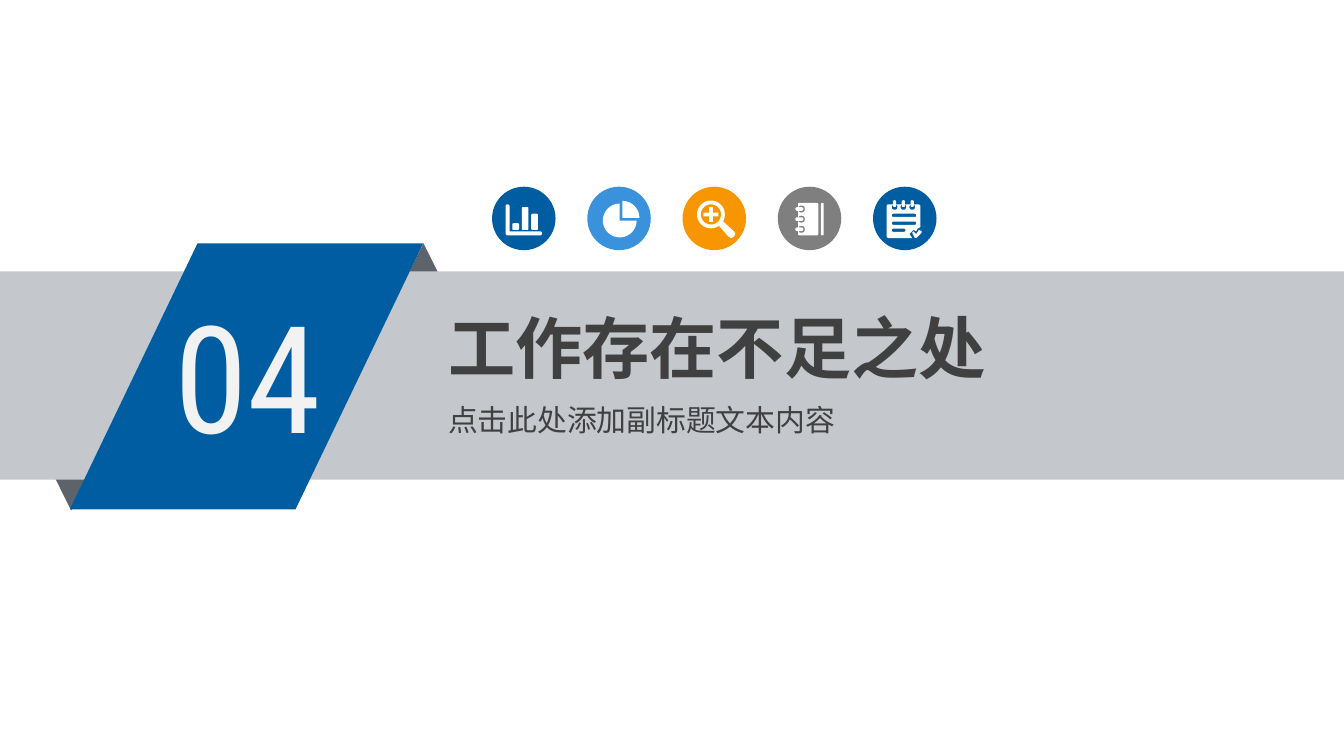
"""Build a section divider slide with a ribbon, a title and a row of icons."""
from dataclasses import dataclass
from math import cos, radians, sin

from lxml.etree import SubElement
from pptx import Presentation
from pptx.dml.color import RGBColor
from pptx.enum.shapes import MSO_SHAPE as Shape
from pptx.enum.text import MSO_AUTO_SIZE as AutoSize
from pptx.oxml.ns import qn
from pptx.util import Cm, Pt


@dataclass(frozen=True)
class Theme:
    blue: str = "005DA2"
    sky: str = "3992DB"
    orange: str = "F79600"
    gray: str = "7F7F7F"
    band: str = "C4C7CB"
    fold: str = "5D636A"
    white: str = "FFFFFF"
    number: str = "F2F2F2"
    text: str = "404040"
    latin: str = "Roboto Condensed"
    cjk: str = "Noto Sans CJK SC"
    number_size: int = 80
    title_size: int = 36
    subtitle_size: int = 16


THEME = Theme()
DISC = 1.2
UNIT = Cm(DISC) / 47


def paint(sp, color):
    sp.shadow.inherit = False
    sp.fill.solid()
    sp.fill.fore_color.rgb = RGBColor.from_string(color)
    sp.line.fill.background()


def add_shape(shapes, kind, box, color):
    sp = shapes.add_shape(kind, *map(Cm, box))
    paint(sp, color)
    return sp


def add_text(shapes, box, text, font, size, color, bold=False):
    tf = shapes.add_textbox(*map(Cm, box)).text_frame
    tf.word_wrap = True
    tf.auto_size = AutoSize.SHAPE_TO_FIT_TEXT
    tf.margin_left = tf.margin_right = Cm(0.19)
    tf.margin_top = tf.margin_bottom = Cm(0.1)
    tf.text = text
    r = tf.paragraphs[0].runs[0]
    r.font.size, r.font.bold, r.font.name = Pt(size), bold, font
    r.font.color.rgb = RGBColor.from_string(color)
    SubElement(r.font._element, qn("a:ea"), typeface=font)


def arc(cx, cy, radius, start, end, steps=40):
    angles = [radians(start + (end - start) * i / steps) for i in range(steps + 1)]
    return [(cx + radius * cos(a), cy + radius * sin(a)) for a in angles]


def bar(x0, y0, x1, y1, radius=1):
    corners = [(x1 - radius, y1 - radius, 0), (x0 + radius, y1 - radius, 90),
               (x0 + radius, y0 + radius, 180), (x1 - radius, y0 + radius, 270)]
    return [pt for cx, cy, a in corners for pt in arc(cx, cy, radius, a, a + 90, 5)]


def chart_icon():
    axes = [(10, 14), (11, 13), (12, 13), (13, 14), (13, 33), (36, 33),
            (37, 34), (37, 35), (36, 36), (11, 36), (10, 35)]
    tops = (27, 15, 20)
    return [axes] + [bar(15 + 7 * i, top, 20 + 7 * i, 32) for i, top in enumerate(tops)]


def pie_icon():
    return [arc(26, 23, 12.5, -90, 0) + [(26, 23)],
            arc(24, 25, 12.5, 0, 270) + [(24, 25)]]


def magnifier_icon():
    handle = [(38, 33), (39, 35), (38, 37), (36, 38), (34, 37)]
    cx, cy, arm, half = 21, 20.5, 5.5, 1.4
    quarter = [(half, -arm), (half, -half), (arm, -half)]
    plus = []
    for _ in range(4):
        plus += [(cx + x, cy + y) for x, y in quarter]
        quarter = [(-y, x) for x, y in quarter]
    return [arc(cx, cy, 10.3, 55, 390) + handle, arc(cx, cy, 7.5, 0, 360), plus]


def notebook_icon():
    paths = [bar(32, 12, 34, 36, 0.8), bar(15, 12, 30, 36)]
    for y in (14, 21.5, 29):
        paths += [bar(15, y, 20, y + 5, 2), bar(13, y + 1.2, 19, y + 3.8, 1.2)]
    return paths


def checklist_icon():
    page = [(11, 13), (34, 13), (35, 14), (35, 30), (33, 31), (32, 33), (30, 32),
            (27, 35), (29, 38), (11, 38), (10, 37), (10, 14)]
    check = [(29, 34), (30, 33), (32, 35), (34, 32), (36, 33), (36, 34),
             (32, 38), (31, 38)]
    rows = [bar(14, y, x, y + 2.4) for y, x in ((20, 32), (25.8, 32), (31, 24))]
    paths = [page, check, *rows]
    for x in (16, 22.5, 29):
        paths += [bar(x - 2, 13, x + 2, 17, 1.5), bar(x - 1.2, 10, x + 1.2, 15)]
    return paths


def add_icon(shapes, left, top, color, paths):
    group = shapes.add_group_shape().shapes
    add_shape(group, Shape.OVAL, (left, top, DISC, DISC), color)
    builder = None
    for path in paths:
        pts = [(x * UNIT, y * UNIT) for x, y in path]
        if builder is None:
            builder = group.build_freeform(*pts[0])
        else:
            builder.move_to(*pts[0])
        builder.add_line_segments(pts[1:], close=True)
    paint(builder.convert_to_shape(Cm(left), Cm(top)), THEME.white)


def add_ribbon(shapes, number):
    group = shapes.add_group_shape().shapes
    add_shape(group, Shape.ISOSCELES_TRIANGLE, (6.86, 4.6, 2.29, 2.31), THEME.fold)
    lower = add_shape(group, Shape.ISOSCELES_TRIANGLE, (0.2, 7.34, 2.29, 2.31), THEME.fold)
    lower.rotation = 180
    add_shape(group, Shape.RECTANGLE, (0, 5.13, 25.4, 3.94), THEME.band)
    flag = add_shape(group, Shape.PARALLELOGRAM, (1.32, 4.6, 6.68, 5.03), THEME.blue)
    flag.adjustments[0] = 0.48
    add_text(group, (3.1, 5.28, 3.68, 3.61), number,
             THEME.latin, THEME.number_size, THEME.number)


def main():
    prs = Presentation()
    prs.slide_width, prs.slide_height = Cm(25.4), Cm(14.29)
    shapes = prs.slides.add_slide(prs.slide_layouts[6]).shapes
    add_ribbon(shapes, "04")
    add_text(shapes, (8.28, 5.69, 14.02, 1.73), "工作存在不足之处",
             THEME.cjk, THEME.title_size, THEME.text, bold=True)
    add_text(shapes, (8.28, 7.49, 8.53, 0.89), "点击此处添加副标题文本内容",
             THEME.cjk, THEME.subtitle_size, THEME.text)
    icons = [(THEME.blue, chart_icon), (THEME.sky, pie_icon),
             (THEME.orange, magnifier_icon), (THEME.gray, notebook_icon),
             (THEME.blue, checklist_icon)]
    for i, (color, icon) in enumerate(icons):
        add_icon(shapes, 9.3 + 1.8 * i, 3.53, color, icon())
    prs.save("out.pptx")


if __name__ == "__main__":
    main()
